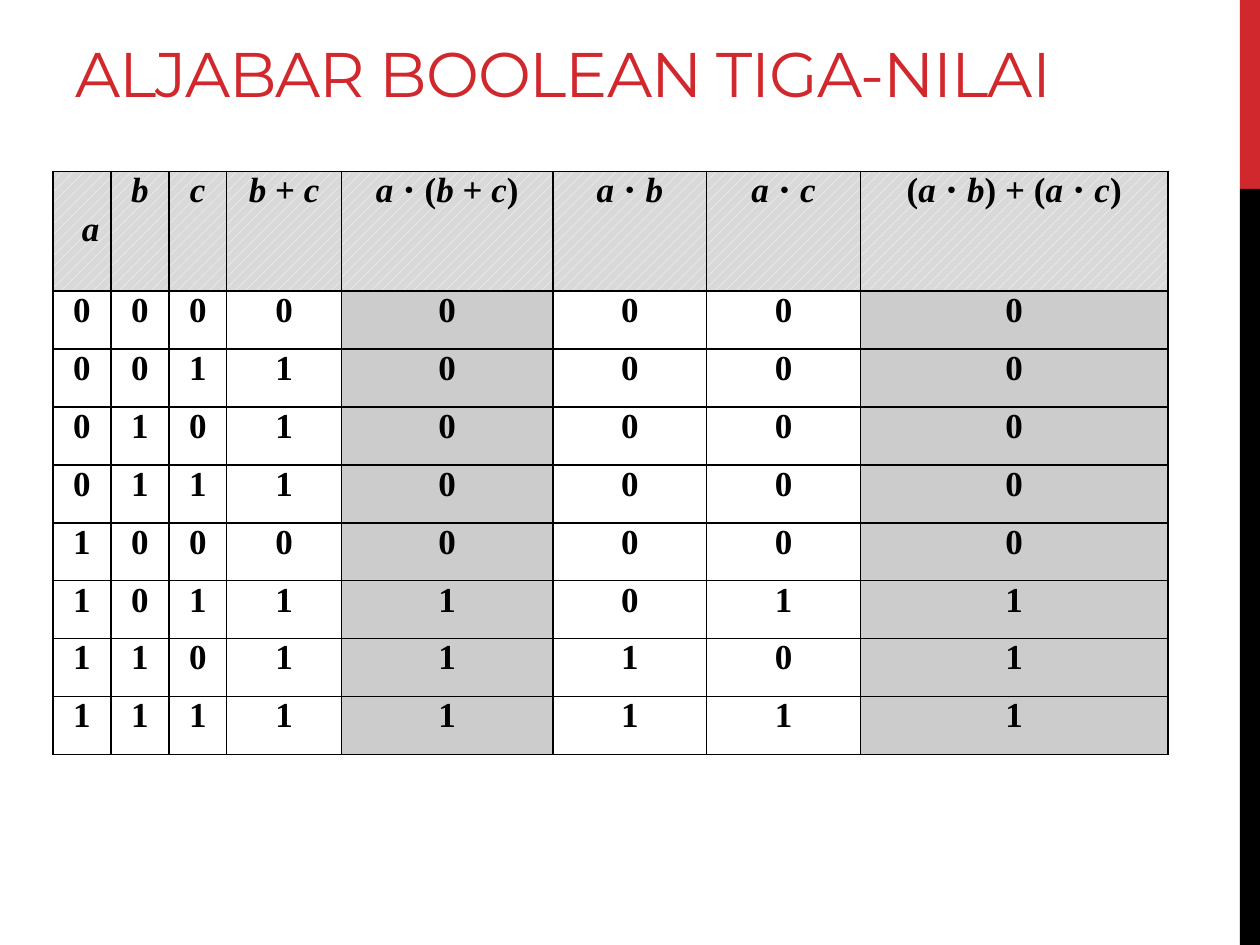
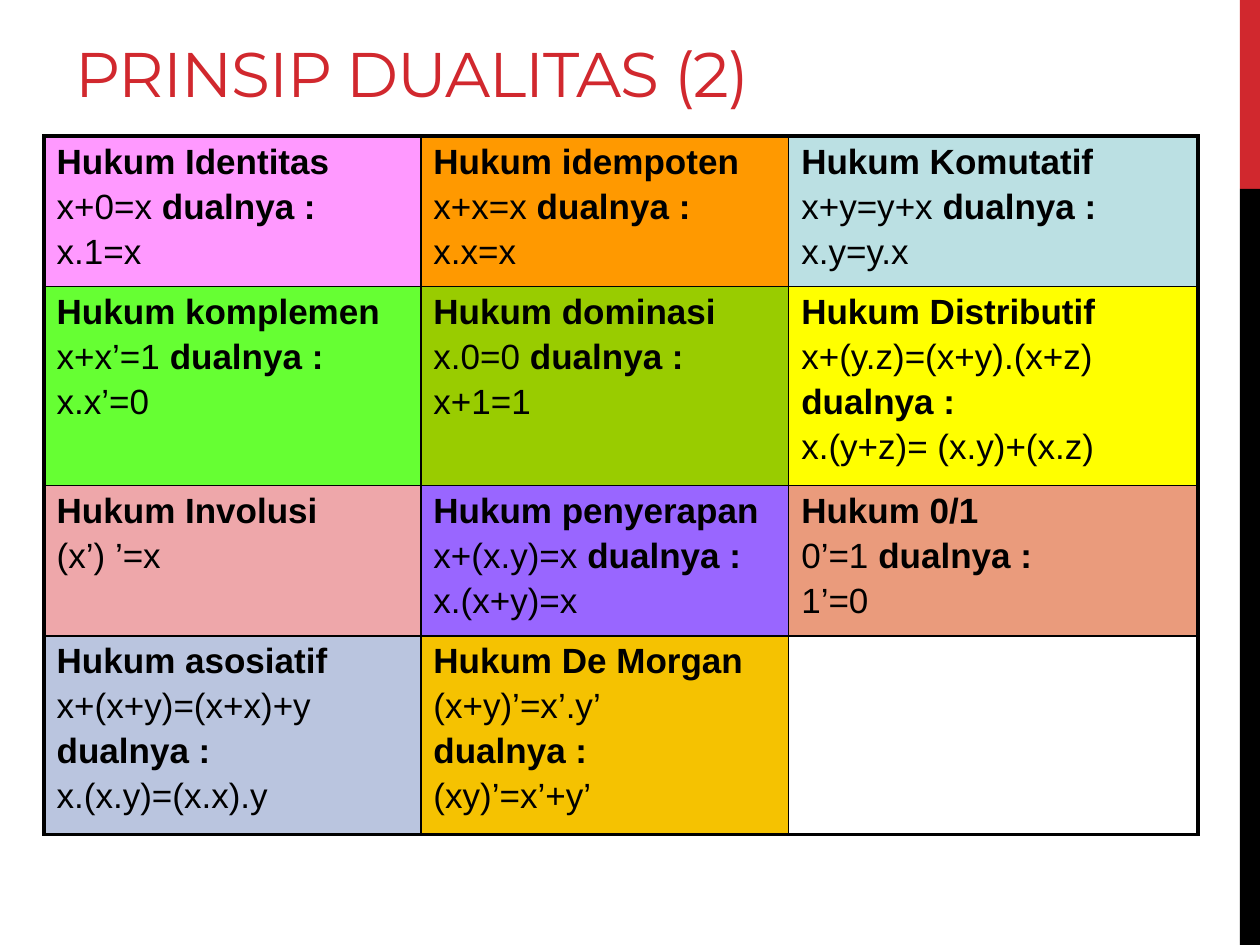
from itertools import groupby, product

from lxml import etree
from pptx import Presentation
from pptx.dml.color import RGBColor
from pptx.enum.dml import MSO_PATTERN
from pptx.enum.shapes import MSO_SHAPE
from pptx.enum.text import MSO_ANCHOR, PP_ALIGN
from pptx.oxml.ns import qn
from pptx.util import Inches, Pt

RED = RGBColor(0xD1, 0x28, 0x2E)
BLACK = RGBColor(0x00, 0x00, 0x00)
WHITE = RGBColor(0xFF, 0xFF, 0xFF)
HEADER_GREY = RGBColor(0xD9, 0xD9, 0xD9)
RESULT_GREY = RGBColor(0xCC, 0xCC, 0xCC)
PINK = RGBColor(0xFF, 0x99, 0xFF)
ORANGE = RGBColor(0xFF, 0x99, 0x00)
PALE_TEAL = RGBColor(0xBB, 0xE0, 0xE3)
GREEN = RGBColor(0x66, 0xFF, 0x33)
OLIVE = RGBColor(0x99, 0xCC, 0x00)
YELLOW = RGBColor(0xFF, 0xFF, 0x00)
ROSE = RGBColor(0xEE, 0xA7, 0xAA)
PURPLE = RGBColor(0x99, 0x66, 0xFF)
SALMON = RGBColor(0xEA, 0x9B, 0x7C)
PALE_BLUE = RGBColor(0xBA, 0xC5, 0xDF)
GOLD = RGBColor(0xF5, 0xC2, 0x01)

TITLE_FONT = "Montserrat"
TRUTH_FONT = "Times New Roman"
LAW_FONT = "Arial"
DUAL = "dualnya :"

HEADERS = ["a", "b", "c", "b + c", "a ⋅ (b + c)", "a ⋅ b", "a ⋅ c",
           "(a ⋅ b) + (a ⋅ c)"]
RESULT_COLUMNS = (4, 7)

LAWS = [
    [(PINK, ["Hukum Identitas", "x+0=x dualnya :", "x.1=x"]),
     (ORANGE, ["Hukum idempoten", "x+x=x dualnya :", "x.x=x"]),
     (PALE_TEAL, ["Hukum Komutatif", "x+y=y+x dualnya :", "x.y=y.x"])],
    [(GREEN, ["Hukum komplemen", "x+x’=1 dualnya :", "x.x’=0"]),
     (OLIVE, ["Hukum dominasi", "x.0=0 dualnya :", "x+1=1"]),
     (YELLOW, ["Hukum Distributif", "x+(y.z)=(x+y).(x+z)", DUAL,
               "x.(y+z)= (x.y)+(x.z)"])],
    [(ROSE, ["Hukum Involusi", "(x’) ’=x"]),
     (PURPLE, ["Hukum penyerapan", "x+(x.y)=x dualnya :", "x.(x+y)=x"]),
     (SALMON, ["Hukum 0/1", "0’=1 dualnya :", "1’=0"])],
    [(PALE_BLUE, ["Hukum asosiatif", "x+(x+y)=(x+x)+y", DUAL,
                  "x.(x.y)=(x.x).y"]),
     (GOLD, ["Hukum De Morgan", "(x+y)’=x’.y’", DUAL, "(xy)’=x’+y’"]),
     (None, [])],
]


class Deck:
    def __init__(self):
        self.prs = Presentation()
        self.prs.slide_width, self.prs.slide_height = Inches(10), Inches(7.5)
        self.s = None

    def slide(self, title, title_width):
        self.s = self.prs.slides.add_slide(self.prs.slide_layouts[6])
        self.band(0, 1.5, RED)
        self.band(1.5, 6, BLACK)
        self.title(title, title_width)

    def band(self, top, height, color):
        sp = self.s.shapes.add_shape(MSO_SHAPE.RECTANGLE, Inches(9.84), Inches(top),
                                     Inches(0.16), Inches(height))
        sp.shadow.inherit = False
        sp.fill.solid()
        sp.fill.fore_color.rgb = color
        sp.line.fill.background()

    def title(self, text, width):
        box = self.s.shapes.add_textbox(Inches(0.5), Inches(0.17),
                                        Inches(width), Inches(0.75))
        tf = box.text_frame
        tf.word_wrap = True
        tf.vertical_anchor = MSO_ANCHOR.BOTTOM
        r = self.run(tf.paragraphs[0], text, TITLE_FONT, 36, RED)
        r.font._element.set("spc", "-60")

    def run(self, p, text, font, size=20, color=BLACK, bold=False, italic=False):
        r = p.add_run()
        r.text = text
        r.font.name, r.font.size = font, Pt(size)
        r.font.bold, r.font.italic = bold, italic
        r.font.color.rgb = color
        return r

    def table(self, left, top, widths, heights, outer=1):
        """Add an unfilled table ruled at 1 pt, with outer edges `outer` pt wide."""
        frame = self.s.shapes.add_table(len(heights), len(widths), Inches(left),
                                        Inches(top), Inches(sum(widths)),
                                        Inches(sum(heights)))
        table = frame.table
        table.first_row = table.horz_banding = False
        for column, width in zip(table.columns, widths):
            column.width = Inches(width)
        for row, height in zip(table.rows, heights):
            row.height = Inches(height)
        last_row, last_col = len(heights) - 1, len(widths) - 1
        for i, j in product(range(len(heights)), range(len(widths))):
            cell = table.cell(i, j)
            edges = {"lnL": j == 0, "lnR": j == last_col,
                     "lnT": i == 0, "lnB": i == last_row}
            for side, is_outer in edges.items():
                self.border(cell, side, outer if is_outer else 1)
            cell.fill.background()
        return table

    def border(self, cell, side, width):
        ln = etree.SubElement(cell._tc.get_or_add_tcPr(), qn(f"a:{side}"),
                              w=str(Pt(width)))
        fill = etree.SubElement(ln, qn("a:solidFill"))
        etree.SubElement(fill, qn("a:srgbClr"), val=str(BLACK))

    def fill(self, cell, color):
        cell.fill.solid()
        cell.fill.fore_color.rgb = color

    def hatch(self, cell):
        cell.fill.patterned()
        cell.fill.pattern = MSO_PATTERN.PERCENT_20
        cell.fill.fore_color.rgb = WHITE
        cell.fill.back_color.rgb = HEADER_GREY

    def formula(self, cell, text):
        """Write a centred bold formula with its variables in italics."""
        cell.margin_left = cell.margin_right = Inches(0.07)
        cell.margin_top = cell.margin_bottom = 0
        p = cell.text_frame.paragraphs[0]
        p.alignment = PP_ALIGN.CENTER
        for is_variable, chars in groupby(text, str.isalpha):
            self.run(p, "".join(chars), TRUTH_FONT, bold=True, italic=is_variable)

    def law(self, cell, lines):
        """Write a bold law name, then its formulas with the dual label in bold."""
        tf = cell.text_frame
        for i, line in enumerate(lines):
            p = tf.add_paragraph() if i else tf.paragraphs[0]
            if i:
                p.space_before = Pt(3.4)
            formula, label, _ = line.partition(DUAL)
            if formula:
                self.run(p, formula, LAW_FONT, bold=i == 0)
            if label:
                self.run(p, label, LAW_FONT, bold=True)


def truth_rows():
    for a, b, c in product((0, 1), repeat=3):
        yield a, b, c, b | c, a & (b | c), a & b, a & c, (a & b) | (a & c)


def truth_table_slide(deck):
    deck.slide("ALJABAR BOOLEAN TIGA-NILAI", 9)
    widths = [0.46, 0.46, 0.46, 0.91, 1.68, 1.22, 1.22, 2.44]
    table = deck.table(0.42, 1.36, widths, [0.95] + [0.46] * 8)
    for j, header in enumerate(HEADERS):
        deck.hatch(table.cell(0, j))
        deck.formula(table.cell(0, j), header)
    first = table.cell(0, 0)
    first.margin_top, first.margin_left = Inches(0.31), Inches(0.21)
    for i, values in enumerate(truth_rows(), start=1):
        for j, value in enumerate(values):
            deck.formula(table.cell(i, j), str(value))
            if j in RESULT_COLUMNS:
                deck.fill(table.cell(i, j), RESULT_GREY)


def duality_slide(deck):
    deck.slide("PRINSIP DUALITAS (2)", 6.33)
    table = deck.table(0.35, 1.08, [2.99, 2.92, 3.25], [1.15, 1.51] * 2, outer=2.25)
    for i, row in enumerate(LAWS):
        for j, (color, lines) in enumerate(row):
            if color is not None:
                deck.fill(table.cell(i, j), color)
                deck.law(table.cell(i, j), lines)


def main():
    deck = Deck()
    truth_table_slide(deck)
    duality_slide(deck)
    deck.prs.save("out.pptx")


if __name__ == "__main__":
    main()
